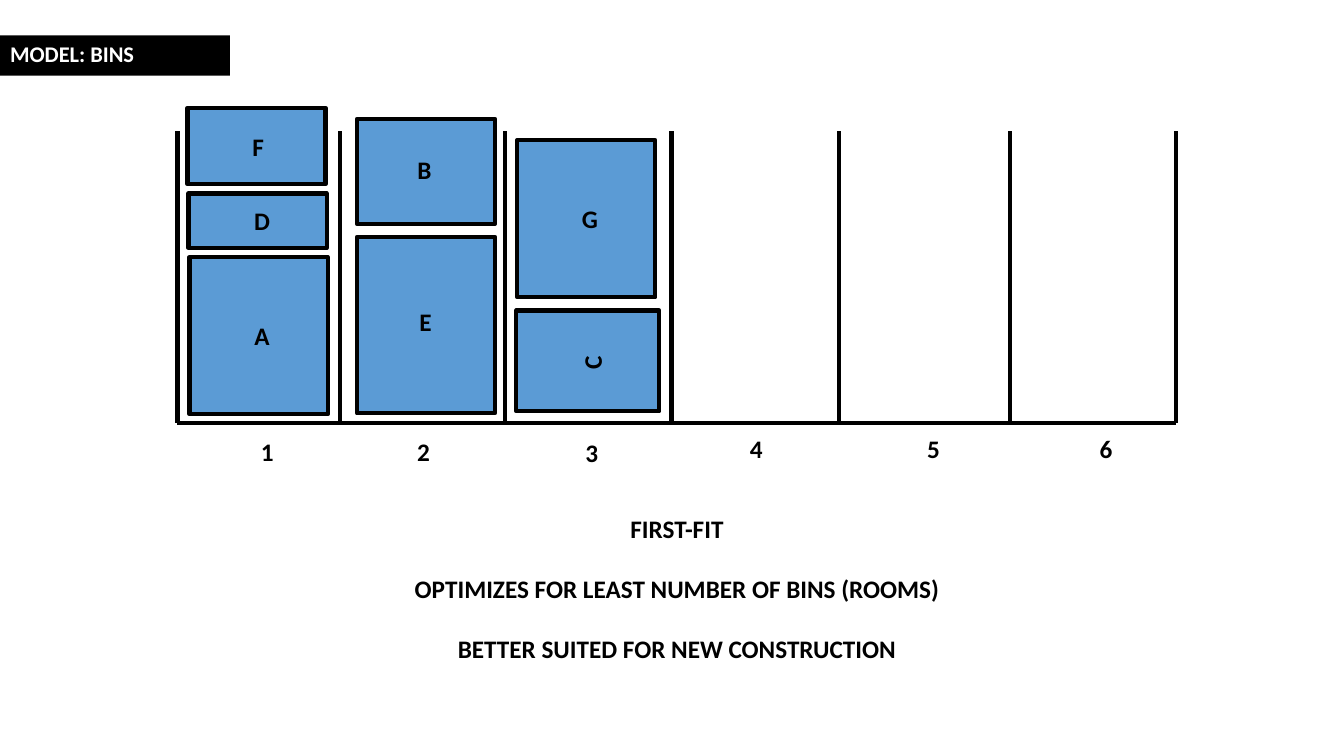
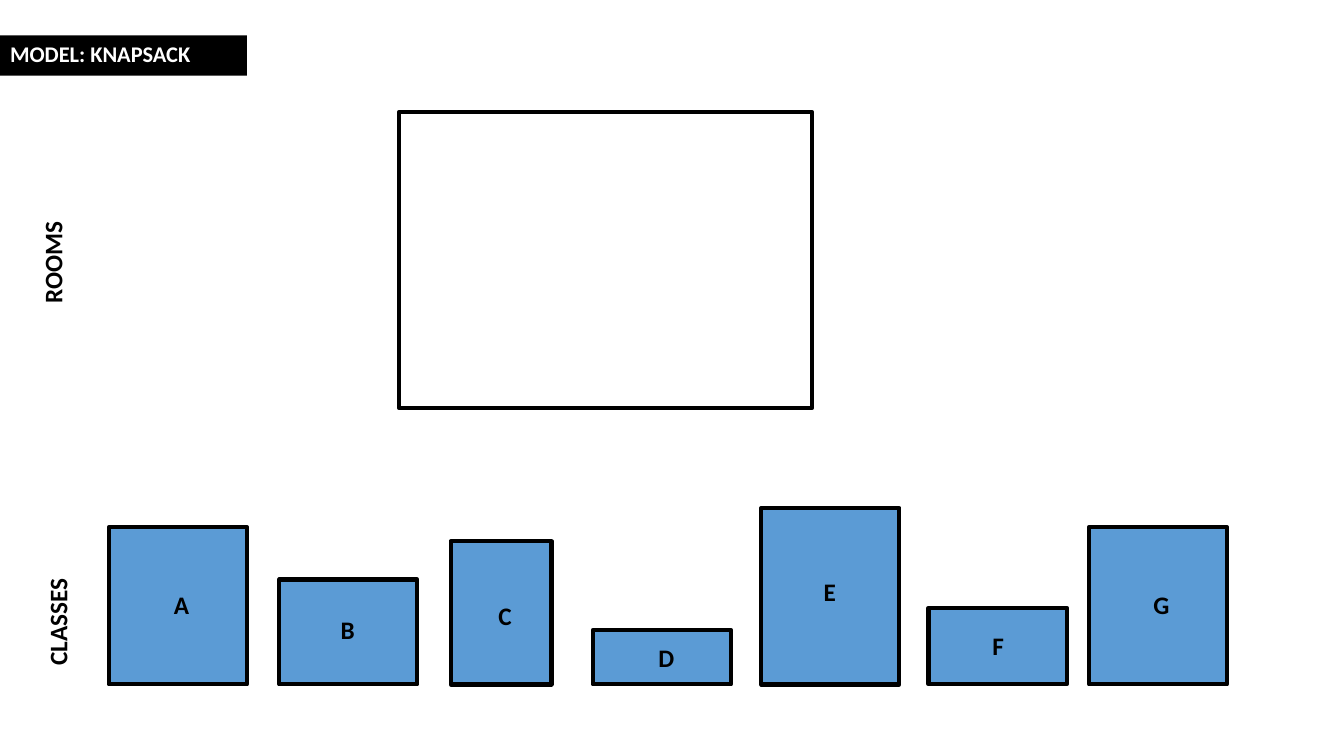
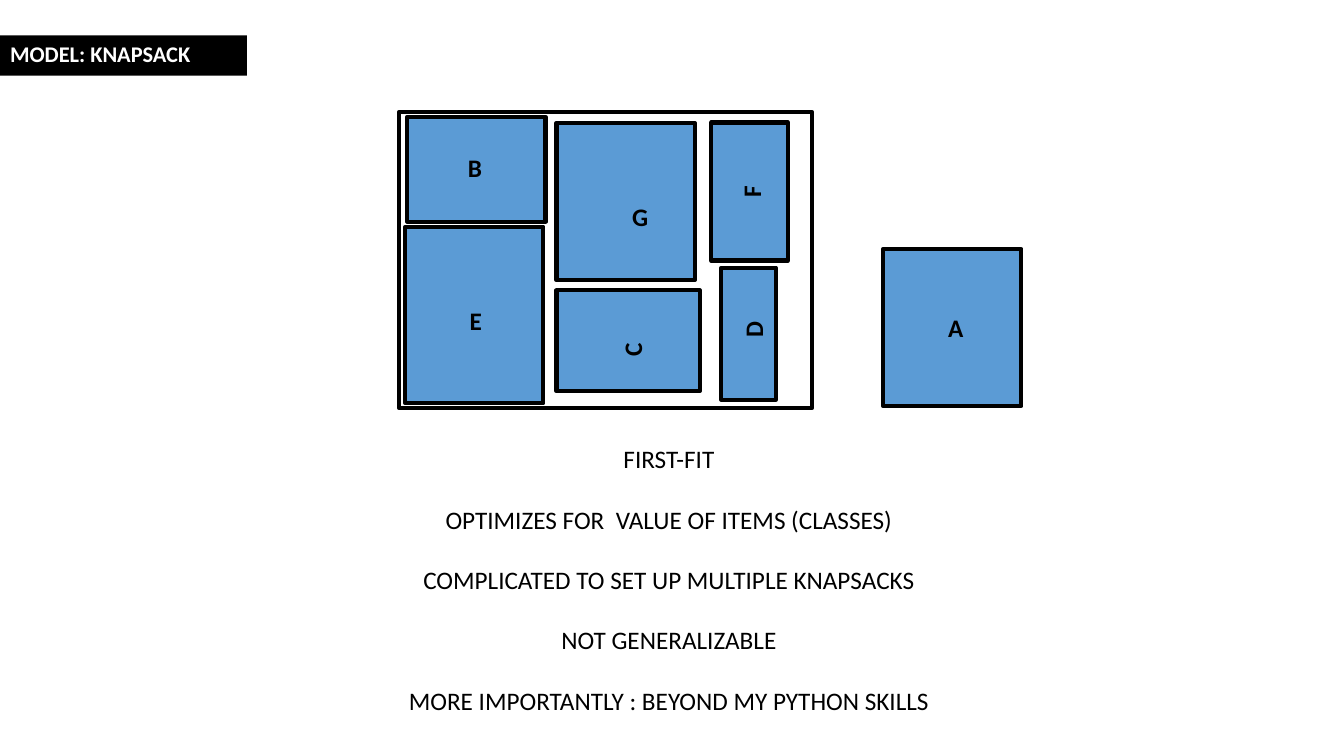
import pptx
import pptx.dml.color
import pptx.enum.shapes
import pptx.enum.text
import pptx.oxml
import pptx.util
import lxml.etree

PX = 9144  # EMU in one px, 100 px to the inch
COLOURS = {"ink": "000000", "paper": "FFFFFF", "block": "5B9BD5"}
ALIGN = pptx.enum.text.PP_ALIGN
ANCHOR = pptx.enum.text.MSO_ANCHOR
RECTANGLE = pptx.enum.shapes.MSO_SHAPE.RECTANGLE
STRAIGHT = pptx.enum.shapes.MSO_CONNECTOR.STRAIGHT
LINE_WIDTH = pptx.util.Pt(3)

# Text formats
TITLE_FONT = {"name": "Calibri", "size": pptx.util.Pt(16), "bold": True}
LABEL_FONT = {"name": "Calibri", "size": pptx.util.Pt(18), "bold": True}
PLAIN_FONT = {**LABEL_FONT, "bold": False}
TITLE_FRAME = {"vertical_anchor": ANCHOR.TOP, "word_wrap": True,
               "auto_size": pptx.enum.text.MSO_AUTO_SIZE.NONE}
NOTE_GAP = pptx.util.Pt(21.5)

# Class blocks: width and height
SIZES = {"A": (137, 156), "B": (137, 104), "C": (100, 142), "D": (137, 54),
         "E": (137, 175), "F": (137, 76), "G": (137, 156)}
KNAPSACK_SIZES = {**SIZES, "D": (131, 54)}

# Blocks: name, left, top, label centre x, label centre y, rotation
BIN_BLOCKS = [
    ("A", 188, 255, 260, 333, 0),
    ("B", 354, 118, 421, 168, 0),
    ("C", 533, 287, 587, 360, 270),
    ("D", 187, 192, 260, 219, 0),
    ("E", 354, 235, 422, 319, 0),
    ("F", 186, 107, 256, 145, 0),
    ("G", 513, 139, 585, 217, 0),
]
KNAPSACK_BLOCKS = [
    ("A", 876, 247, 948, 325, 0),
    ("B", 404, 116, 471, 166, 0),
    ("C", 573, 267, 627, 347, 270),
    ("D", 677, 304, 747, 327, 270),
    ("E", 402, 225, 472, 318, 0),
    ("F", 675, 152, 745, 190, 270),
    ("G", 552, 122, 635, 215, 0),
]

# Waiting classes stand on one floor: name, left, label centre x, y
CLASS_FLOOR = 679
WAITING = [("A", 108, 180, 600), ("B", 277, 345, 625), ("C", 447, 501, 611),
           ("D", 588, 661, 652), ("E", 755, 823, 587), ("F", 921, 990, 640),
           ("G", 1080, 1152, 600)]

# Bins: wall positions and number centres
WALLS = [176, 337, 501, 666, 832, 1002, 1166]
WALL_TOP, BIN_FLOOR = 130, 420
NUMBERS = [("1", 265, 448), ("2", 420, 448), ("3", 587, 449),
           ("4", 750, 445), ("5", 926, 445), ("6", 1097, 445)]

KNAPSACK = (396, 111, 409, 294)
SIDE_LABELS = [("ROOMS", 52, 237), ("CLASSES", 57, 596)]

BIN_NOTES = ["FIRST-FIT",
             "OPTIMIZES FOR LEAST NUMBER OF BINS (ROOMS)",
             "BETTER SUITED FOR NEW CONSTRUCTION"]
KNAPSACK_NOTES = ["FIRST-FIT",
                  "OPTIMIZES FOR  VALUE OF ITEMS (CLASSES)",
                  "COMPLICATED TO SET UP MULTIPLE KNAPSACKS",
                  "NOT GENERALIZABLE",
                  "MORE IMPORTANTLY : BEYOND MY PYTHON SKILLS"]


def rgb(name):
    return pptx.dml.color.RGBColor.from_string(COLOURS[name])


def scaled(*lengths):
    return [length * PX for length in lengths]


def set_all(target, values):
    for key, value in values.items():
        setattr(target, key, value)


def write(para, text, font, colour="ink", align=ALIGN.CENTER):
    para.alignment = align
    span = para.add_run()
    span.text = text
    set_all(span.font, font)
    span.font.color.rgb = rgb(colour)


def place(shape, *area):
    set_all(shape, dict(zip(("left", "top", "width", "height"), scaled(*area))))


def add_page(deck, layout, title, bar_width):
    page = deck.slides.add_slide(deck.slide_layouts[layout])
    bar = page.shapes.title
    place(bar, 0, 35, bar_width, 40)
    bar.fill.solid()
    bar.fill.fore_color.rgb = rgb("ink")
    set_all(bar.text_frame, TITLE_FRAME)
    write(bar.text_frame.paragraphs[0], title, TITLE_FONT, "paper", ALIGN.LEFT)
    return page


def add_box(page, area, fill=None, rotation=0):
    box = page.shapes.add_shape(RECTANGLE, *scaled(*area))
    box.shadow.inherit = False
    box.rotation = rotation
    if fill:
        box.fill.solid()
        box.fill.fore_color.rgb = rgb(fill)
    else:
        box.fill.background()
    box.line.color.rgb = rgb("ink")
    box.line.width = LINE_WIDTH


def add_label(page, text, x, y, rotation=0, width=40, align=ALIGN.CENTER):
    box = page.shapes.add_textbox(*scaled(x - width // 2, y - 20, width, 40))
    box.rotation = rotation
    box.text_frame.word_wrap = True
    write(box.text_frame.paragraphs[0], text, LABEL_FONT, align=align)


def add_blocks(page, blocks, sizes):
    for name, left, top, x, y, rotation in blocks:
        add_box(page, (left, top, *sizes[name]), "block", rotation)
        add_label(page, name, x, y, rotation)


def add_line(page, *ends):
    line = page.shapes.add_connector(STRAIGHT, *scaled(*ends))
    line.line.color.rgb = rgb("ink")
    line.line.width = LINE_WIDTH
    properties = line._element.spPr
    lxml.etree.SubElement(properties, pptx.oxml.ns.qn("a:effectLst"))


def add_notes_list(page, area, notes, font):
    body = page.placeholders[1]
    place(body, *area)
    frame = body.text_frame
    set_all(frame, TITLE_FRAME)
    for index, note in enumerate(notes):
        para = frame.add_paragraph() if index else frame.paragraphs[0]
        properties = para._p.get_or_add_pPr()
        properties.set("marL", "0")
        properties.set("indent", "0")
        lxml.etree.SubElement(properties, pptx.oxml.ns.qn("a:buNone"))
        para.space_before = NOTE_GAP if index else 0
        write(para, note, font)


def main():
    deck = pptx.Presentation()
    deck.slide_width, deck.slide_height = scaled(1333, 750)

    # Bins
    page = add_page(deck, 1, "MODEL: BINS", 228)
    add_line(page, WALLS[0], BIN_FLOOR, WALLS[-1], BIN_FLOOR)
    for wall in WALLS:
        add_line(page, wall, WALL_TOP, wall, BIN_FLOOR)
    add_blocks(page, BIN_BLOCKS, SIZES)
    for number, x, y in NUMBERS:
        add_label(page, number, x, y)
    add_notes_list(page, (176, 504, 991, 162), BIN_NOTES, LABEL_FONT)

    # Empty knapsack and waiting classes
    page = add_page(deck, 5, "MODEL: KNAPSACK", 245)
    add_box(page, KNAPSACK)
    add_blocks(page, [(name, left, CLASS_FLOOR - SIZES[name][1], x, y, 0)
                      for name, left, x, y in WAITING], SIZES)
    for text, x, y in SIDE_LABELS:
        add_label(page, text, x, y, 270, 148, ALIGN.LEFT)

    # Packed knapsack
    page = add_page(deck, 1, "MODEL: KNAPSACK", 245)
    add_box(page, KNAPSACK)
    add_blocks(page, KNAPSACK_BLOCKS, KNAPSACK_SIZES)
    add_notes_list(page, (168, 435, 991, 283), KNAPSACK_NOTES, PLAIN_FONT)

    deck.save("out.pptx")


if __name__ == "__main__":
    main()
